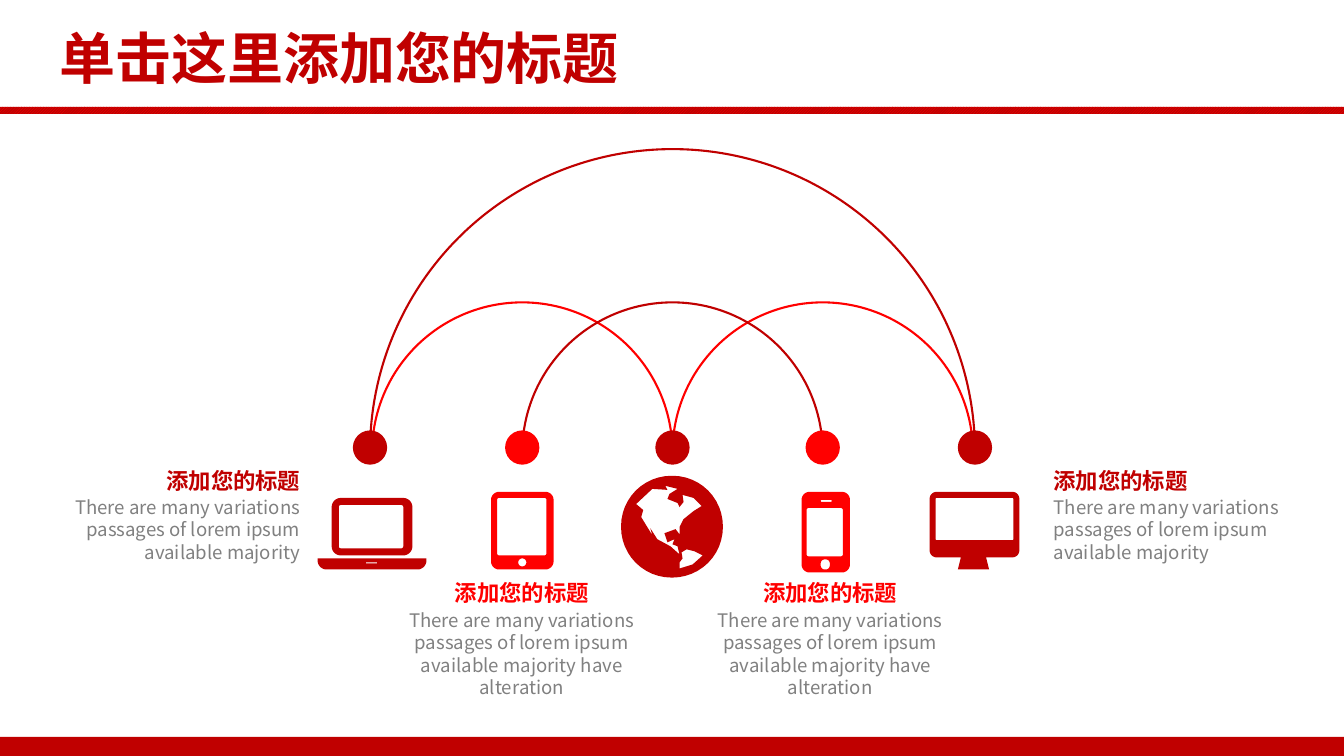
from math import cos, pi, sin
from pptx import Presentation
from pptx.dml.color import RGBColor
from pptx.enum.dml import MSO_PATTERN
from pptx.enum.shapes import MSO_SHAPE
from pptx.enum.text import PP_ALIGN
from pptx.oxml.ns import qn
from pptx.util import Inches, Pt

DARK = RGBColor(0xC0, 0x00, 0x00)
BRIGHT = RGBColor(0xFF, 0x00, 0x00)
GREY = RGBColor(0x80, 0x80, 0x80)
RECT, OVAL, ARC = MSO_SHAPE.RECTANGLE, MSO_SHAPE.OVAL, MSO_SHAPE.ARC
DIAGONAL = MSO_PATTERN.DARK_UPWARD_DIAGONAL
LEFT, CENTER, RIGHT = PP_ALIGN.LEFT, PP_ALIGN.CENTER, PP_ALIGN.RIGHT
FONT = "Noto Sans CJK SC"

TITLE = "单击这里添加您的标题"
HEADING = "添加您的标题"
SHORT = "There are many variations passages of lorem ipsum available majority"
LONG = SHORT + " have alteration"

CAPTIONS = [
    (7.03, 5.75, 2.41, CENTER, BRIGHT, LONG),
    (0.7, 4.63, 2.28, RIGHT, DARK, SHORT),
    (10.45, 4.63, 2.28, LEFT, DARK, SHORT),
    (3.97, 5.75, 2.41, CENTER, BRIGHT, LONG),
]
CENTER_X, STEP, DOT_SIZE, DOT_Y = 6.67, 1.49, 0.34, 4.44
DOTS = [(3.67, DARK), (5.18, BRIGHT), (6.67, DARK), (8.16, BRIGHT), (9.67, DARK)]
ARCS = [(0, 1.48, 6, DARK), (1, 3, 2.98, BRIGHT), (-1, 3, 2.98, BRIGHT), (0, 3, 2.98, DARK)]

NORTH_AMERICA = [
    (6.96, 5.02), (6.88, 4.94), (6.77, 4.91), (6.78, 4.98), (6.74, 5.03), (6.72, 4.99),
    (6.62, 4.95), (6.64, 4.9), (6.72, 4.85), (6.6, 4.82), (6.62, 4.86), (6.47, 4.85),
    (6.31, 5), (6.38, 5.06), (6.36, 5.13), (6.47, 5.31), (6.45, 5.24), (6.52, 5.35),
    (6.65, 5.42), (6.74, 5.5), (6.72, 5.42), (6.67, 5.4), (6.69, 5.35), (6.62, 5.38),
    (6.59, 5.29), (6.7, 5.25), (6.74, 5.3), (6.74, 5.23), (6.78, 5.15), (6.88, 5.07),
]
SOUTH_AMERICA = [(6.97, 5.51), (6.89, 5.47), (6.81, 5.45), (6.76, 5.48), (6.77, 5.54),
                 (6.74, 5.58), (6.74, 5.64), (6.87, 5.6)]
STAND = [(9.53, 5.53), (9.78, 5.53), (9.81, 5.65), (9.5, 5.65)]


def rounded(left, top, right, bottom, bottom_r, top_r=None):
    top_r = bottom_r if top_r is None else top_r
    corners = [(right - bottom_r, bottom - bottom_r, bottom_r),
               (left + bottom_r, bottom - bottom_r, bottom_r),
               (left + top_r, top + top_r, top_r),
               (right - top_r, top + top_r, top_r)]
    return [(x + r * cos((k + i / 12) * pi / 2), y + r * sin((k + i / 12) * pi / 2))
            for k, (x, y, r) in enumerate(corners) for i in range(13)]


LAPTOP = [rounded(3.15, 5.54, 4.23, 5.65, 0.09, 0), rounded(3.29, 4.94, 4.09, 5.51, 0.09),
          rounded(3.36, 5.01, 4, 5.44, 0.02), rounded(3.63, 5.58, 3.74, 5.59, 0)]
MONITOR = [rounded(9.22, 4.88, 10.11, 5.53, 0.07), rounded(9.28, 4.94, 10.05, 5.36, 0.01),
           STAND]
TABLET = [rounded(4.87, 4.88, 5.49, 5.65, 0.08), rounded(4.93, 4.94, 5.42, 5.51, 0.02),
          rounded(5.14, 5.54, 5.22, 5.62, 0.04)]
PHONE = [rounded(7.95, 4.88, 8.43, 5.68, 0.08), rounded(8, 5.04, 8.36, 5.52, 0.02),
         rounded(8.14, 4.96, 8.25, 4.98, 0.01), rounded(8.14, 5.55, 8.23, 5.65, 0.04)]
GLOBE = [rounded(6.16, 4.72, 7.17, 5.73, 0.5), NORTH_AMERICA, SOUTH_AMERICA]
ICONS = [(LAPTOP, DARK), (MONITOR, DARK), (TABLET, BRIGHT), (PHONE, BRIGHT), (GLOBE, DARK)]

prs = Presentation()
prs.slide_width, prs.slide_height = Inches(13.33), Inches(7.5)
s = prs.slides.add_slide(prs.slide_layouts[6])


def paint(sp, color):
    sp.shadow.inherit = False
    sp.fill.solid()
    sp.fill.fore_color.rgb = color
    sp.line.fill.background()


def add_shape(kind, x, y, w, h, color):
    sp = s.shapes.add_shape(kind, Inches(x), Inches(y), Inches(w), Inches(h))
    paint(sp, color)
    return sp


def add_icon(contours, color):
    outlines = [[(Inches(x), Inches(y)) for x, y in c] for c in contours]
    fb = s.shapes.build_freeform(*outlines[0][0], scale=1.0)
    fb.add_line_segments(outlines[0][1:], close=True)
    for outline in outlines[1:]:
        fb.move_to(*outline[0])
        fb.add_line_segments(outline[1:], close=True)
    paint(fb.convert_to_shape(), color)


def add_text(text, x, y, w, h, size, color, bold=False, align=LEFT, wrap=False, margin=0):
    tf = s.shapes.add_textbox(Inches(x), Inches(y), Inches(w), Inches(h)).text_frame
    frame = {"word_wrap": wrap, "margin_left": Inches(margin), "margin_right": Inches(margin),
             "margin_top": Inches(margin / 2), "margin_bottom": Inches(margin / 2)}
    for name, value in frame.items():
        setattr(tf, name, value)
    p = tf.paragraphs[0]
    p.alignment = align
    p.line_spacing = Pt(round(size * 1.2, 1))
    r = p.add_run()
    r.text = text
    for name, value in {"name": FONT, "size": Pt(size), "bold": bold}.items():
        setattr(r.font, name, value)
    r.font.color.rgb = color
    ea = r.font._element.makeelement(qn("a:ea"), {"typeface": FONT})
    r.font._element.find(qn("a:latin")).addnext(ea)


add_shape(RECT, 0, 7.31, 13.33, 0.19, DARK)
rule = add_shape(RECT, 0, 1.06, 13.33, 0.07, DARK)
rule.fill.patterned()
rule.fill.pattern = DIAGONAL
rule.fill.fore_color.rgb = BRIGHT
rule.fill.back_color.rgb = DARK

for offset, y, size, color in ARCS:
    arc = add_shape(ARC, CENTER_X + offset * STEP - size / 2, y, size, size, color)
    arc.fill.background()
    arc.line.color.rgb = color
    arc.line.width = Pt(1.5)
    arc.adjustments[0] = 107.37
    arc.adjustments[1] = 0

for contours, color in ICONS:
    add_icon(contours, color)
for x, color in DOTS:
    add_shape(OVAL, x - DOT_SIZE / 2, DOT_Y - DOT_SIZE / 2, DOT_SIZE, DOT_SIZE, color)

for x, y, w, align, color, body in CAPTIONS:
    add_text(body, x, y + 0.29, w, 0.9 if body == LONG else 0.67, 13.3, GREY,
             align=align, wrap=True)
    heading_x = x + {LEFT: 0, CENTER: (w - 1.35) / 2, RIGHT: w - 1.35}[align]
    add_text(HEADING, heading_x, y, 1.35, 0.27, 16, color, bold=True, align=align)
add_text(TITLE, 0.49, 0.18, 5.83, 0.77, 40, DARK, bold=True, margin=0.1)

prs.save("out.pptx")
